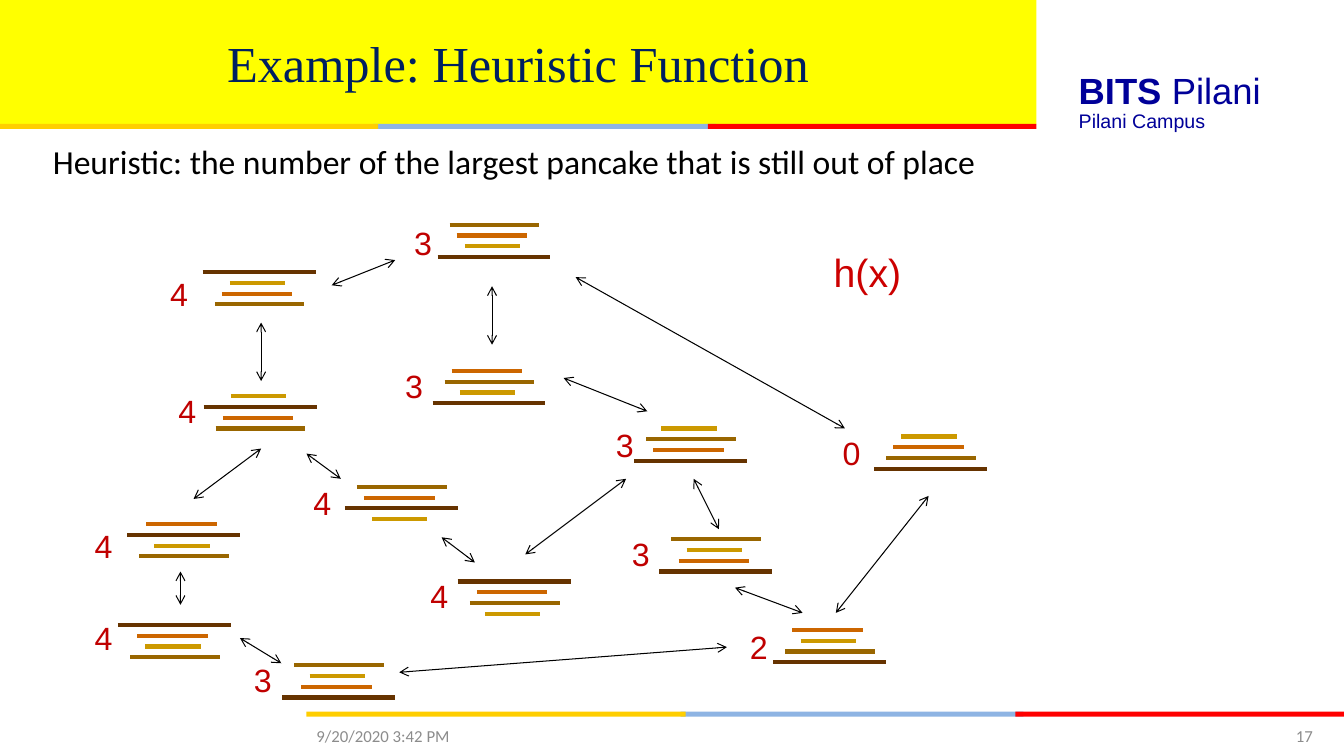
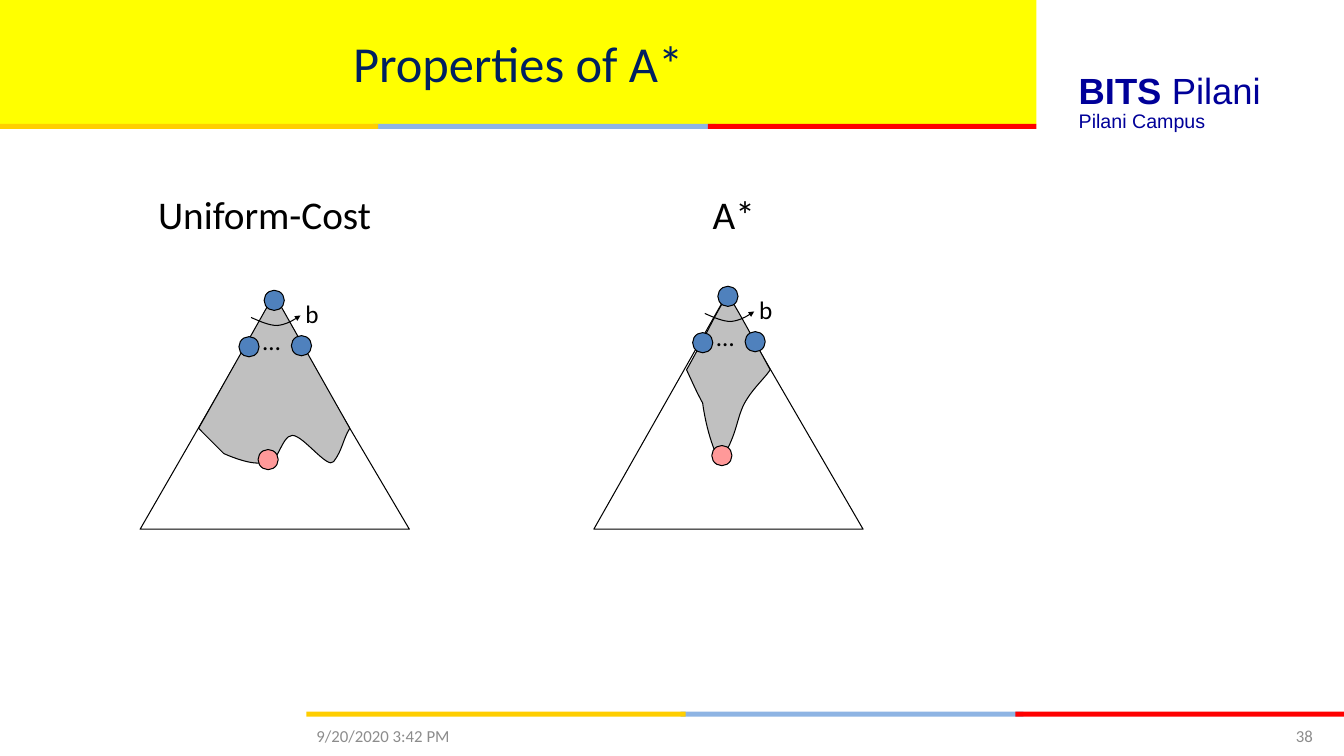
from lxml.etree import SubElement
from pptx import Presentation
from pptx.dml.color import RGBColor
from pptx.enum.shapes import MSO_CONNECTOR, MSO_SHAPE
from pptx.enum.text import MSO_ANCHOR, MSO_AUTO_SIZE, PP_ALIGN
from pptx.oxml.ns import qn
from pptx.util import Inches, Pt

HUES = {
    "band": "FFFF00", "gold": "FFCE00", "sky": "8EB4E3", "red": "FF0000",
    "title": "002060", "brand": "000099", "foot": "8C8C8C", "ink": "000000",
    "count": "C00000", "label": "CC0000",
    "node": "4F81BD", "goal": "FF9999", "seen": "C0C0C0",
}
CAKES = {"1": (0.27, 0.55, "CC9900"), "2": (0.19, 0.7, "CC6600"),
         "3": (0.12, 0.89, "996600"), "4": (0, 1.12, "663300")}
STACKS = [
    ("4123", 2.01, 2.7, 1.59, 2.67), ("1423", 2.02, 3.93, 1.67, 3.83),
    ("3214", 4.34, 2.23, 4.01, 2.17), ("2413", 1.26, 5.2, 0.84, 5.17),
    ("3241", 3.42, 4.83, 3.01, 4.75), ("1234", 8.67, 4.33, 8.26, 4.25),
    ("2314", 4.29, 3.68, 3.92, 3.58), ("4231", 4.54, 5.77, 4.17, 5.67),
    ("4213", 1.17, 6.2, 0.84, 6.08), ("3124", 2.8, 6.6, 2.42, 6.5),
    ("1324", 6.29, 4.25, 6.01, 4.17), ("2134", 7.67, 6.25, 7.34, 6.17),
    ("3124", 6.54, 5.35, 6.17, 5.25),
]
MOVES = [
    (3.92, 2.58, 3.29, 2.83), (2.59, 3.78, 2.59, 3.2),
    (1.92, 4.95, 2.59, 4.45), (3.38, 4.75, 3.04, 4.5),
    (1.79, 6, 1.79, 5.67), (2.79, 6.58, 2.38, 6.33),
    (7.21, 6.42, 3.96, 6.67), (4.71, 5.58, 4.38, 5.33),
    (6.21, 4.75, 5.21, 5.5), (5.59, 3.75, 6.42, 4.08),
    (4.88, 2.84, 4.88, 3.42), (8.38, 4.25, 5.71, 2.75),
    (6.88, 4.75, 7.13, 5.25), (7.29, 5.83, 7.96, 6.08),
    (8.29, 6.08, 9.21, 4.92),
]
WIDE = [
    (1.33, 0.04), (0.58, 1.37), (0.83, 1.62),
    (0.83, 1.62, 1.13, 1.76, 1.25, 1.7), (1.36, 1.76, 1.4, 1.44, 1.51, 1.44),
    (1.62, 1.44, 1.86, 1.78, 1.92, 1.7), (2.01, 1.58, 2.01, 1.48, 2.08, 1.37),
    (1.33, 0.04),
]
SLIM = [
    (1.33, 0.08), (1.18, 0.32, 1.17, 0.38, 0.92, 0.83),
    (1, 1, 1.01, 1.03, 1.08, 1.16), (1.08, 1.16, 1.12, 1.5, 1.25, 1.74),
    (1.42, 1.49, 1.41, 1.33, 1.49, 1.17), (1.57, 1.02, 1.68, 0.93, 1.75, 0.83),
    (1.5, 0.37, 1.44, 0.26, 1.33, 0.08),
]
SWEEP = [(1.1, 0.27), (1.19, 0.31, 1.28, 0.35, 1.36, 0.35),
         (1.44, 0.34, 1.52, 0.3, 1.59, 0.25)]


def color(name):
    """Turn a named colour or a hex string into an RGB colour."""
    return RGBColor.from_string(HUES.get(name, name))


def write(slide, box, text, size, hue="ink", font="Calibri",
          align=PP_ALIGN.LEFT, anchor=MSO_ANCHOR.TOP):
    """Add a text box and return its paragraph."""
    frame = slide.shapes.add_textbox(*map(Inches, box)).text_frame
    frame.word_wrap = True
    frame.vertical_anchor = anchor
    if anchor == MSO_ANCHOR.TOP:
        frame.auto_size = MSO_AUTO_SIZE.SHAPE_TO_FIT_TEXT
    para = frame.paragraphs[0]
    para.text = text
    para.alignment = align
    para.font.size = Pt(size)
    para.font.name = font
    para.font.color.rgb = color(hue)
    return para


def paint(shape, fill=None, line=None):
    """Set fill and outline, and drop the shadow."""
    shape.shadow.inherit = False
    if fill:
        shape.fill.solid()
        shape.fill.fore_color.rgb = color(fill)
    else:
        shape.fill.background()
    if line:
        shape.line.color.rgb = color(line)
        shape.line.width = Pt(0.75)
    else:
        shape.line.fill.background()
    return shape


def block(slide, kind, box, fill, line=None):
    """Add a painted preset shape."""
    return paint(slide.shapes.add_shape(kind, *map(Inches, box)), fill, line)


def tip(shape, end, kind, size="med"):
    """Put an arrowhead on one end of a line."""
    SubElement(shape._element.spPr.find(qn("a:ln")), qn("a:" + end),
               type=kind, w=size, len=size)


def stroke(slide, ends, hue, width):
    """Add a straight line between two points."""
    line = slide.shapes.add_connector(MSO_CONNECTOR.STRAIGHT, *map(Inches, ends))
    line.line.color.rgb = color(hue)
    line.line.width = Pt(width)
    SubElement(line._element.spPr, qn("a:effectLst"))
    return line


def bend(shape, steps):
    """Turn the straight parts that have handles into cubic curves."""
    left, top = (min(step[axis] for step in steps) for axis in (-2, -1))
    parts = list(shape._element.iter(qn("a:lnTo")))
    for part, step in zip(parts, steps[1:]):
        if len(step) == 2:
            continue
        part.clear()
        part.tag = qn("a:cubicBezTo")
        for x, y in zip(step[::2], step[1::2]):
            SubElement(part, qn("a:pt"), x=str(Inches(x - left)),
                       y=str(Inches(y - top)))


def outline(slide, x, y, steps, fill=None, close=True):
    """Draw an outline relative to a corner."""
    dots = [(Inches(x + step[-2]), Inches(y + step[-1])) for step in steps]
    form = slide.shapes.build_freeform(*dots[0], scale=1.0)
    form.add_line_segments(dots[1:], close=close)
    shape = form.convert_to_shape()
    bend(shape, steps)
    return paint(shape, fill, "ink")


def stripe(slide, x, y):
    """Draw the three-coloured rule."""
    for left, width, hue in ((3.71, 3.4, "sky"), (7.03, 3.26, "red"), (0, 3.76, "gold")):
        block(slide, MSO_SHAPE.RECTANGLE, (x + left, y, width, 0.05), hue)


def header(slide, title, font):
    """Draw the title band and the campus name."""
    box = (0, 0, 10.28, 1.23)
    block(slide, MSO_SHAPE.RECTANGLE, box, "band")
    stripe(slide, -0.01, 1.23)
    name = write(slide, (10.6, 0.63, 2.7, 0.54), "BITS ", 26, "brand", "Arial")
    name.runs[0].font.bold = True
    name.add_run().text = "Pilani"
    write(slide, (10.6, 1.03, 2.39, 0.34), "Pilani Campus", 14, "brand", "Arial")
    write(slide, box, title, 36, "title", font, PP_ALIGN.CENTER, MSO_ANCHOR.MIDDLE)


def footer(slide, number):
    """Draw the bottom rule, the date and the page number."""
    stripe(slide, 3.04, 7.06)
    write(slide, (3.04, 7.1, 3.11, 0.4), "9/20/2020 3:42 PM", 12, "foot",
          anchor=MSO_ANCHOR.MIDDLE)
    write(slide, (11.66, 7.1, 1.46, 0.4), number, 12, "foot",
          align=PP_ALIGN.RIGHT, anchor=MSO_ANCHOR.MIDDLE)


def start(deck, title, number, font="Calibri"):
    """Add a slide with the shared parts."""
    slide = deck.slides.add_slide(deck.slide_layouts[6])
    header(slide, title, font)
    footer(slide, number)
    return slide


def stack(slide, order, x, y):
    """Draw a pile of pancakes from top to bottom."""
    for row, cake in enumerate(order):
        left, width, hue = CAKES[cake]
        level = y + row * 0.32 / 3
        stroke(slide, (x + left, level, x + left + width, level), hue, 3)


def guess(order):
    """Find the largest pancake that is out of place."""
    return max((int(cake) for spot, cake in enumerate(order, 1)
                if int(cake) != spot), default=0)


def pancakes(deck):
    """Build the slide on the pancake heuristic."""
    slide = start(deck, "Example: Heuristic Function", "17", "Times New Roman")
    write(slide, (0, 1.35, 10.2, 0.5),
          "Heuristic: the number of the largest pancake that is still out of place",
          24, align=PP_ALIGN.CENTER)
    for order, x, y, left, top in STACKS:
        stack(slide, order, x, y)
        write(slide, (left, top, 0.33, 0.49), str(guess(order)), 23, "count", "Arial")
    for ends in MOVES:
        arrow = stroke(slide, ends, "ink", 0.75)
        tip(arrow, "headEnd", "arrow")
        tip(arrow, "tailEnd", "arrow")
    write(slide, (8.17, 2.41, 1.25, 0.57), "h(x)", 28, "label", "Arial")


def tree(slide, x, y, height, region):
    """Draw a search tree with its explored region."""
    outline(slide, x, y, [(0, height), (2.67, height), (1.32, 0.08), (0, height)])
    outline(slide, x, y, region, "seen")
    tip(outline(slide, x, y, SWEEP, close=False), "tailEnd", "triangle", "sm")
    write(slide, (x + 1.12, y + 0.3, 0.3, 0.4), "…", 18)
    write(slide, (x + 1.54, y + 0.03, 0.33, 0.4), "b", 18)
    for left, top, hue in ((0.98, 0.46, "node"), (1.5, 0.45, "node"),
                           (1.17, 1.58, "goal"), (1.23, 0, "node")):
        block(slide, MSO_SHAPE.OVAL, (x + left, y + top, 0.2, 0.2), hue, "ink")


def search(deck):
    """Build the slide that compares two searches."""
    slide = start(deck, "Properties of A*", "38")
    write(slide, (1.47, 1.84, 2.5, 0.57), "Uniform-Cost", 28)
    write(slide, (6.97, 1.84, 0.67, 0.57), "A*", 28)
    tree(slide, 1.39, 2.88, 2.37, WIDE)
    tree(slide, 5.89, 2.84, 2.41, SLIM)


def main():
    """Build and save the deck."""
    deck = Presentation()
    deck.slide_width = Inches(13.33)
    deck.slide_height = Inches(7.5)
    pancakes(deck)
    search(deck)
    deck.save("out.pptx")


if __name__ == "__main__":
    main()
